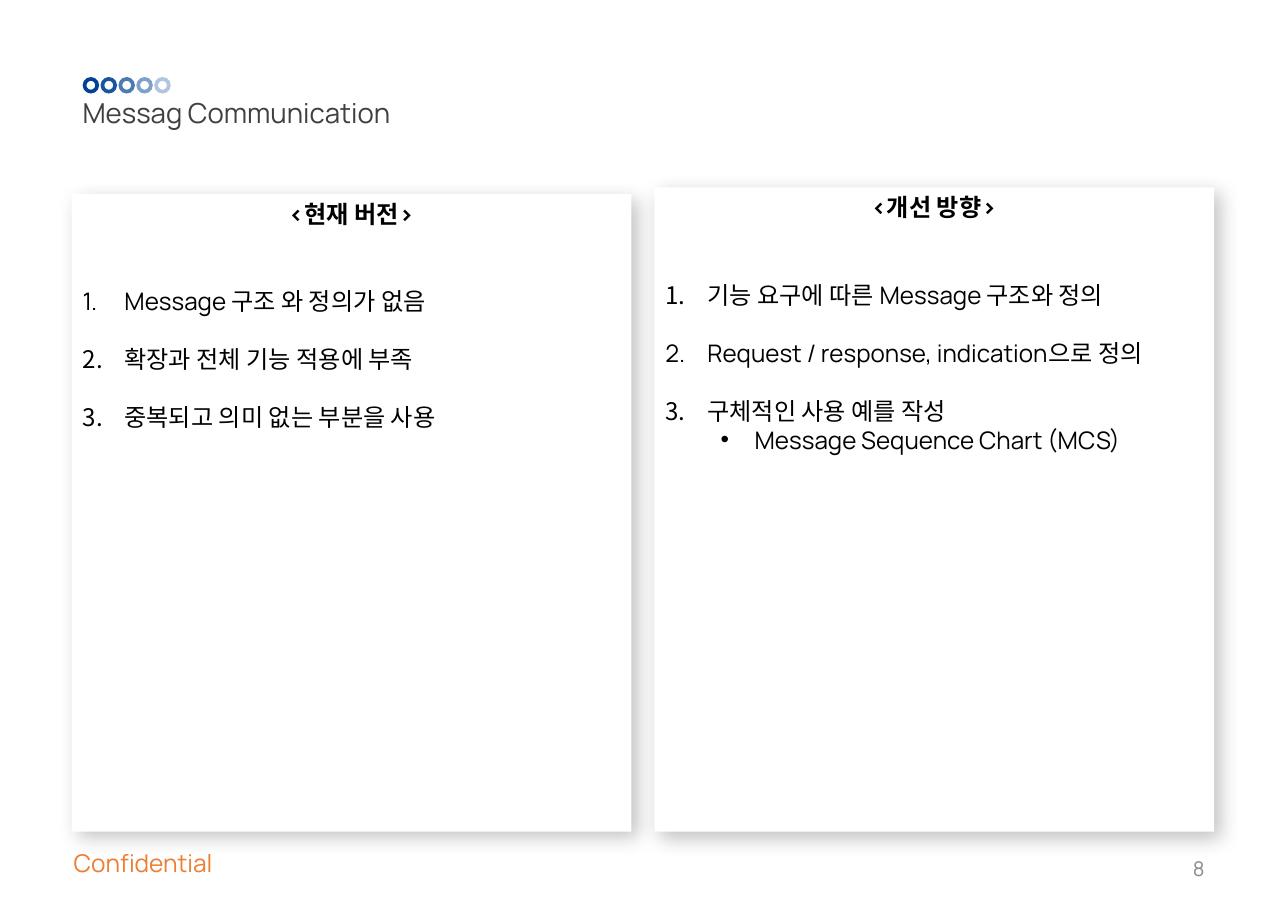
from lxml import etree
from pptx import Presentation
from pptx.dml.color import RGBColor
from pptx.enum.shapes import MSO_SHAPE
from pptx.enum.text import MSO_ANCHOR, MSO_AUTO_SIZE, PP_ALIGN
from pptx.oxml import parse_xml
from pptx.oxml.ns import nsdecls, qn
from pptx.util import Inches, Pt

LEFT, MID, RIGHT = PP_ALIGN.LEFT, PP_ALIGN.CENTER, PP_ALIGN.RIGHT
TOP, CENTER = MSO_ANCHOR.TOP, MSO_ANCHOR.MIDDLE
FIXED, RING = MSO_AUTO_SIZE.NONE, MSO_SHAPE.DONUT

THEME = {
    "font": "Manrope",
    "title": (18, "404040"),
    "body": (15.8, "000000"),
    "mark": (16, "ED7D31"),
    "page": (13.2, "8C8C8C"),
    "panel": "FFFFFF",
    "ring": "004294",
}
SHADOW = (
    f'<a:effectLst {nsdecls("a")}><a:outerShdw blurRad="{Pt(13)}" dist="{Pt(6)}"'
    ' dir="2700000" algn="tl" rotWithShape="0"><a:srgbClr val="000000">'
    '<a:alpha val="23000"/></a:srgbClr></a:outerShdw></a:effectLst>'
)
# Per list level: left indent, hanging indent, bullet tags
BULLETS = {
    "head": (0, 0, [("buNone", {})]),
    "item": (0.38, -0.38, [("buFontTx", {}),
                           ("buAutoNum", {"type": "arabicPeriod"})]),
    "sub": (0.81, -0.31, [("buFont", {"typeface": "Arial"}),
                          ("buChar", {"char": "•"})]),
}

prs = Presentation()
prs.slide_width, prs.slide_height = Inches(11.69), Inches(8.27)
slide = prs.slides.add_slide(prs.slide_layouts[3])
title, *panels = slide.placeholders


def place(x, y, w, h):
    """Turn percent shares of the slide into left, top, width, height."""
    wide, high = prs.slide_width / 100, prs.slide_height / 100
    return int(x * wide), int(y * high), int(w * wide), int(h * high)


def write(para, text, style, align=LEFT, bold=False):
    """Add one styled run to a paragraph."""
    size, color = THEME[style]
    para.alignment = align
    run = para.add_run()
    run.text = text
    run.font.name, run.font.size, run.font.bold = THEME["font"], Pt(size), bold
    run.font.color.rgb = RGBColor.from_string(color)


# Title
title.left, title.top, title.width, title.height = place(5.56, 9.92, 28.74, 4.84)
frame = title.text_frame
frame.word_wrap, frame.auto_size = False, FIXED
frame.vertical_anchor = CENTER
write(frame.paragraphs[0], "Messag Communication", "title")

# Two list panels: text, bullet kind, space before in points
lists = [
    ((5.56, 21.28, 43.46, 70.01), [
        ("<현재 버전>", "head", 0),
        ("Message 구조 와 정의가 없음", "item", 38),
        ("확장과 전체 기능 적용에 부족", "item", 19),
        ("중복되고 의미 없는 부분을 사용", "item", 19),
    ]),
    ((50.81, 20.56, 43.46, 70.74), [
        ("<개선 방향>", "head", 0),
        ("기능 요구에 따른 Message 구조와 정의", "item", 38),
        ("Request / response, indication으로 정의", "item", 19),
        ("구체적인 사용 예를 작성", "item", 19),
        ("Message Sequence Chart (MCS)", "sub", 0),
    ]),
]
for panel, (area, lines) in zip(panels, lists):
    panel.left, panel.top, panel.width, panel.height = place(*area)
    panel.fill.solid()
    panel.fill.fore_color.rgb = RGBColor.from_string(THEME["panel"])
    panel.line.fill.background()
    panel.element.spPr.append(parse_xml(SHADOW))
    frame = panel.text_frame
    frame.word_wrap, frame.auto_size = True, FIXED
    frame.vertical_anchor = TOP
    for row, (text, kind, gap) in enumerate(lines):
        para = frame.add_paragraph() if row else frame.paragraphs[0]
        head = kind == "head"
        para.level = 1 if kind == "sub" else 0
        para.space_before = Pt(gap)
        write(para, text, "body", MID if head else LEFT, head)
        margin, hang, tags = BULLETS[kind]
        props = para._p.get_or_add_pPr()
        props.set("marL", str(Inches(margin)))
        props.set("indent", str(Inches(hang)))
        for tag, attrs in tags:
            etree.SubElement(props, qn("a:" + tag), attrs)

# Row of fading rings
for col, alpha in enumerate((100, 90, 70, 50, 30)):
    ring = slide.shapes.add_shape(RING, *place(6.42 + 1.39 * col, 8.46, 1.28, 1.81))
    ring.adjustments[0] = 0.23
    ring.shadow.inherit = False
    ring.line.fill.background()
    ring.fill.solid()
    ring.fill.fore_color.rgb = RGBColor.from_string(THEME["ring"])
    shade = ring.element.spPr.find(qn("a:solidFill"))[0]
    etree.SubElement(shade, qn("a:alpha"), {"val": str(alpha * 1000)})

# Footer mark and page number
for text, style, area, align, anchor, wrap in (
    ("Confidential", "mark", (4.88, 92.5, 13.43, 4.47), LEFT, TOP, False),
    ("8", "page", (71.86, 92.62, 22.5, 5.32), RIGHT, CENTER, True),
):
    frame = slide.shapes.add_textbox(*place(*area)).text_frame
    frame.word_wrap, frame.vertical_anchor = wrap, anchor
    write(frame.paragraphs[0], text, style, align)

prs.save("out.pptx")
